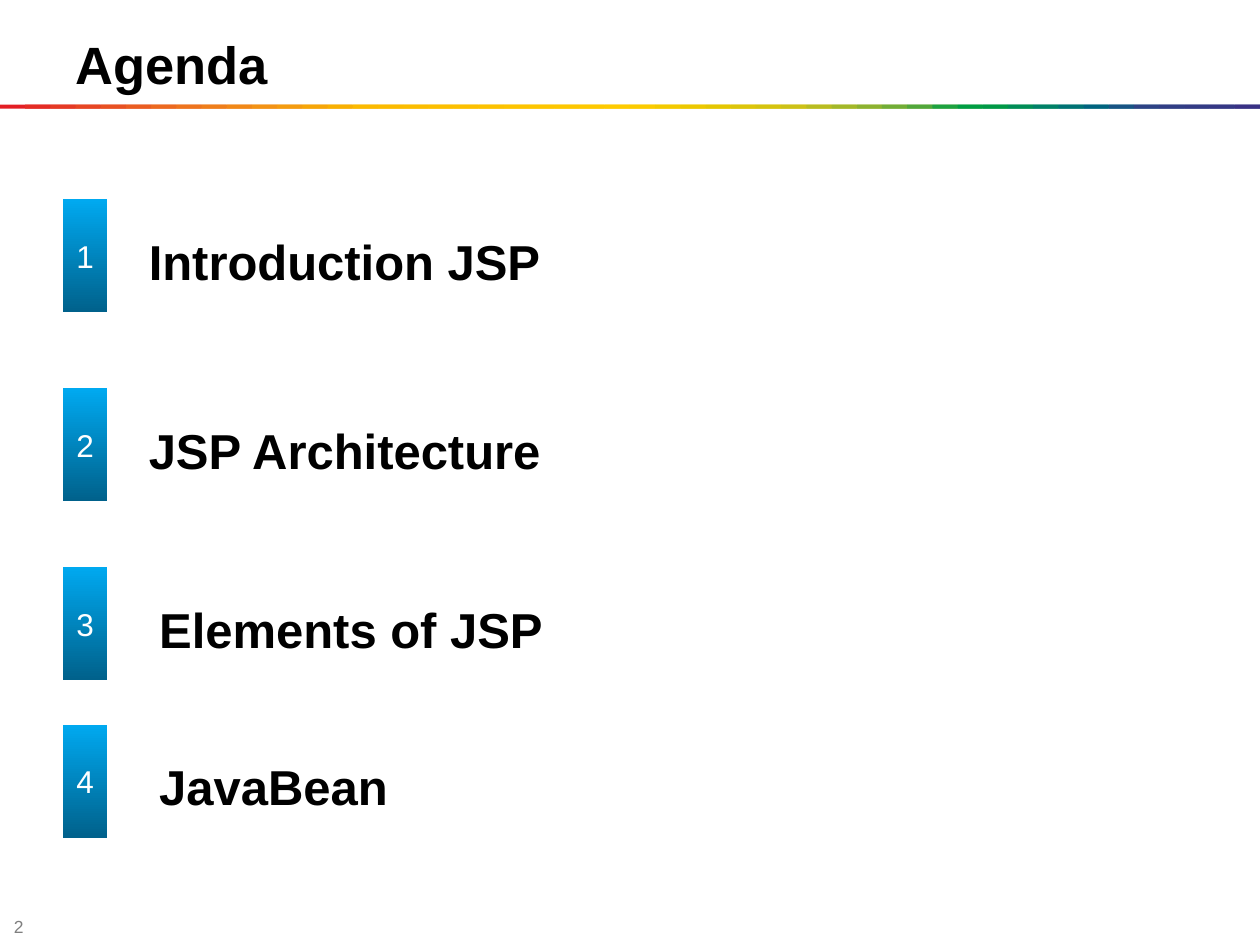
from dataclasses import dataclass

from pptx import Presentation
from pptx.dml.color import RGBColor
from pptx.enum.shapes import MSO_SHAPE
from pptx.enum.text import MSO_ANCHOR, PP_ALIGN
from pptx.util import Cm, Pt


@dataclass(frozen=True)
class Theme:
    font: str = "Arial"
    ink: str = "000000"
    muted: str = "7F7F7F"
    on_marker: str = "FFFFFF"
    marker_gradient: tuple = ("00618B", "00A9F0")
    title_size: int = 30
    topic_size: int = 28
    number_size: int = 18
    page_size: int = 10
    rainbow: str = """
        E31E24 E42C24 E53A24 E74623 E85122 EA5D21 EC691F EE741D EF7E1A F18817
        F39314 F49C0F F6A607 F8B002 FBBA00 FBBB00 FBBD00 FCBF00 FCC000 FCC200
        FDC400 FDC600 FDC700 FEC900 FECB00 FBCB00 F3CA00 ECC800 E4C602 DCC50A
        D5C30E CCC117 B8BC21 A3B829 8CB230 71AD36 51A73B 1DA240 009D43 009846
        008C57 008068 007275 00637F 185384 2E4285 313E85 333B85 353885 393185
    """


THEME = Theme()


def write(holder, text, size, color, bold=False, align=PP_ALIGN.LEFT,
          anchor=MSO_ANCHOR.MIDDLE, inset_top=0.13):
    """Put one styled line of text into a shape or text box."""
    frame = holder.text_frame
    frame_format = {
        "word_wrap": True,
        "vertical_anchor": anchor,
        "margin_left": Cm(0.25),
        "margin_right": Cm(0.25),
        "margin_top": Cm(inset_top),
        "margin_bottom": Cm(0.13),
    }
    for attribute, value in frame_format.items():
        setattr(frame, attribute, value)
    line = frame.paragraphs[0]
    line.alignment = align
    run = line.add_run()
    run.text = text
    font_format = {"name": THEME.font, "size": Pt(size), "bold": bold}
    for attribute, value in font_format.items():
        setattr(run.font, attribute, value)
    run.font.color.rgb = RGBColor.from_string(color)


def add_plain_rectangle(shapes, left, top, width, height):
    rectangle = shapes.add_shape(
        MSO_SHAPE.RECTANGLE, Cm(left), Cm(top), Cm(width), Cm(height))
    rectangle.shadow.inherit = False
    rectangle.line.fill.background()
    return rectangle


deck = Presentation()
deck.slide_width, deck.slide_height = Cm(25.4), Cm(19.05)
slide = deck.slides.add_slide(deck.slide_layouts[6])

page_number = slide.shapes.add_textbox(Cm(0.03), Cm(18.47), Cm(1), Cm(0.4))
write(page_number, "2", THEME.page_size, THEME.muted)

# Rainbow rule: equal steps, each band running under the next one
rainbow_colors = THEME.rainbow.split()
step = 25.4 / len(rainbow_colors)
rule = slide.shapes.add_group_shape()
for index, color in enumerate(rainbow_colors):
    is_last = index == len(rainbow_colors) - 1
    band = add_plain_rectangle(
        rule.shapes, index * step, 2.11, step if is_last else 2 * step, 0.08)
    band.fill.solid()
    band.fill.fore_color.rgb = RGBColor.from_string(color)

title = slide.shapes.add_textbox(Cm(1.27), Cm(0.41), Cm(22.76), Cm(1.55))
write(title, "Agenda", THEME.title_size, THEME.ink, bold=True,
      anchor=MSO_ANCHOR.TOP, inset_top=0.23)

# Topic, its left edge and the top of its marker
agenda = [
    ("Introduction JSP", 2.75, 4.02),
    ("JSP Architecture", 2.75, 7.83),
    ("Elements of JSP", 2.96, 11.43),
    ("JavaBean", 2.96, 14.61),
]
for number, (topic, topic_left, marker_top) in enumerate(agenda, start=1):
    marker = add_plain_rectangle(slide.shapes, 1.27, marker_top, 0.89, 2.28)
    marker.fill.gradient()
    marker.fill.gradient_angle = 90
    for position, (stop, color) in enumerate(
            zip(marker.fill.gradient_stops, THEME.marker_gradient)):
        stop.position = position
        stop.color.rgb = RGBColor.from_string(color)
    write(marker, str(number), THEME.number_size, THEME.on_marker,
          align=PP_ALIGN.CENTER)

    topic_line = slide.shapes.add_textbox(
        Cm(topic_left), Cm(marker_top + 0.42), Cm(19.48), Cm(1.8))
    write(topic_line, topic, THEME.topic_size, THEME.ink, bold=True,
          anchor=MSO_ANCHOR.TOP, inset_top=0.23)

deck.save("out.pptx")
